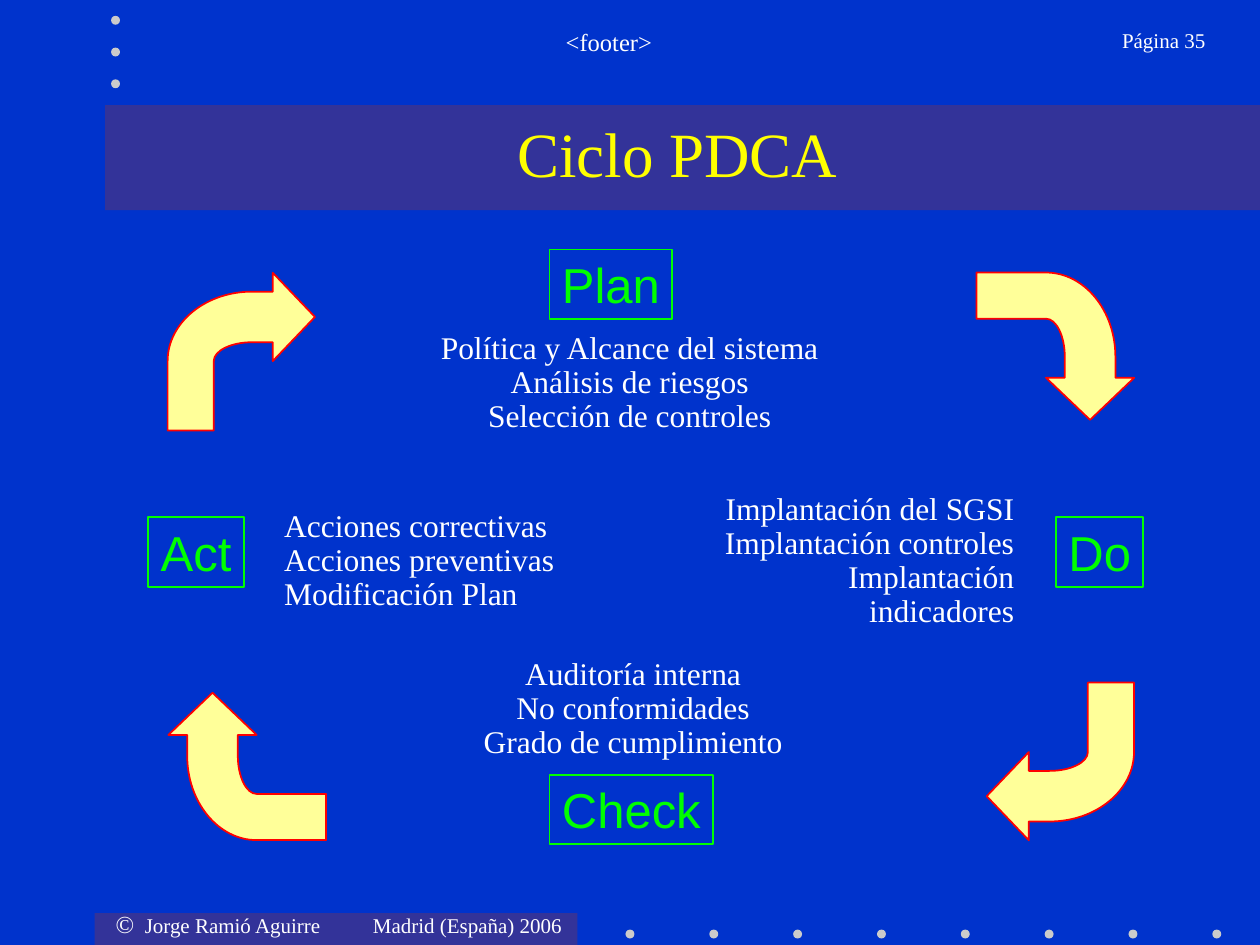
from lxml.etree import SubElement
from pptx import Presentation
from pptx.dml.color import RGBColor
from pptx.enum.shapes import MSO_SHAPE as Shape
from pptx.enum.text import MSO_ANCHOR as Anchor, MSO_AUTO_SIZE as AutoSize, PP_ALIGN as Align
from pptx.oxml.ns import qn
from pptx.util import Cm, Pt

BLUE = RGBColor(0x00, 0x33, 0xCC)
INDIGO = RGBColor(0x33, 0x33, 0x99)
GREY = RGBColor(0xCB, 0xCB, 0xCB)
WHITE = RGBColor(0xFF, 0xFF, 0xFF)
YELLOW = RGBColor(0xFF, 0xFF, 0x00)
CREAM = RGBColor(0xFF, 0xFF, 0x99)
RED = RGBColor(0xFF, 0x00, 0x00)
GREEN = RGBColor(0x00, 0xFF, 0x00)
SERIF, SANS = "Times New Roman", "Arial"


def add_filled(page, kind, left, top, width, height, color):
    shape = page.shapes.add_shape(kind, Cm(left), Cm(top), Cm(width), Cm(height))
    shape.shadow.inherit = False
    shape.fill.solid()
    shape.fill.fore_color.rgb = color
    shape.line.fill.background()


def add_span(para, text, size, color=WHITE, font=SERIF):
    span = para.add_run()
    span.text = text
    span.font.size = Pt(size)
    span.font.name = font
    span.font.color.rgb = color


def add_text_box(page, left, top, width, height):
    box = page.shapes.add_textbox(Cm(left), Cm(top), Cm(width), Cm(height))
    box.text_frame.word_wrap = True
    return box.text_frame


def add_dots(page, left, top, count, step_x, step_y):
    for i in range(count):
        add_filled(page, Shape.OVAL, left + i * step_x, top + i * step_y, 0.18, 0.18, GREY)


def add_header(page, left, top, width):
    """Dots, running texts and title band."""
    add_dots(page, left + 0.12, top + 0.32, 3, 0, 0.64)
    for text, offset, box_width, size, align in (
        ("<footer>", 1.9, 16.51, 14, Align.CENTER),
        ("Página 35", 18.95, 3.48, 12, Align.RIGHT),
    ):
        para = add_text_box(page, left + offset, top + 0.43, box_width, 1.27).paragraphs[0]
        para.alignment = align
        add_span(para, text, size)

    # Title band, with the title brought in front of it
    add_filled(page, Shape.RECTANGLE, left, top + 2.12, width, 2.12, INDIGO)
    title = page.shapes.title
    title.left, title.top = Cm(left + 0.21), Cm(top + 2.12)
    title.width, title.height = Cm(22.66), Cm(1.9)
    title.text_frame.auto_size = AutoSize.NONE
    title.text_frame.vertical_anchor = Anchor.MIDDLE
    para = title.text_frame.paragraphs[0]
    para.alignment = Align.CENTER
    add_span(para, "Ciclo PDCA", 36, YELLOW)
    title._element.getparent().append(title._element)


def add_footer(page, left, top):
    """Credit band with tabbed text, and the row of dots."""
    add_filled(page, Shape.RECTANGLE, left, top, 9.73, 0.64, INDIGO)
    add_dots(page, left + 10.7, top + 0.33, 8, 1.69, 0)
    frame = add_text_box(page, left - 0.08, top - 0.2, 9.78, 0.86)
    frame.margin_left, frame.margin_right = Cm(0.5), 0
    para = frame.paragraphs[0]
    tabs = SubElement(para._p.get_or_add_pPr(), qn("a:tabLst"))
    for position in (0.59, 5.19):
        SubElement(tabs, qn("a:tab"), pos=str(Cm(position)), algn="l")
    add_span(para, "©", 14)
    add_span(para, "\tJorge Ramió Aguirre\tMadrid (España) 2006", 12)


def add_phase_label(page, text, left, top, width):
    label = page.shapes.add_shape(Shape.RECTANGLE, Cm(left), Cm(top), Cm(width), Cm(1.4))
    label.shadow.inherit = False
    label.fill.background()
    label.line.color.rgb = GREEN
    label.line.width = Pt(1)
    frame = label.text_frame
    frame.word_wrap = False
    frame.vertical_anchor = Anchor.TOP
    frame.margin_top = frame.margin_bottom = Cm(0.1)
    para = frame.paragraphs[0]
    para.alignment = Align.LEFT
    add_span(para, text, 28, GREEN, SANS)


def add_phase_tasks(page, tasks, left, top, width, align):
    frame = add_text_box(page, left, top, width, 2.31)
    frame.word_wrap = False
    frame.auto_size = AutoSize.SHAPE_TO_FIT_TEXT
    for i, task in enumerate(tasks):
        para = frame.add_paragraph() if i else frame.paragraphs[0]
        para.alignment = align
        para.line_spacing = 0.9
        add_span(para, task, 18)


def add_bent_arrow(page, left, top, rotation):
    # Hundredths of a centimetre; each bend is two control points and an end
    outer_bend = [(0, 101), (76, 38), (170, 38)]
    head = [(212, 38), (212, 0), (297, 89), (212, 178), (212, 140), (170, 140)]
    inner_bend = [(128, 140), (93, 157), (93, 178)]
    builder = page.shapes.build_freeform(0, 318, scale=Cm(0.01))
    builder.add_line_segments([(0, 178)] + outer_bend + head + inner_bend + [(93, 318)])
    arrow = builder.convert_to_shape(Cm(left), Cm(top))

    # Turn the three segments of each bend into one curve
    outline = next(arrow._element.iter(qn("a:path")))
    segments = outline.findall(qn("a:lnTo"))
    for first in (1, 10):
        curve = segments[first]
        curve.tag = qn("a:cubicBezTo")
        for segment in segments[first + 1:first + 3]:
            curve.append(segment[0])
            outline.remove(segment)

    arrow.shadow.inherit = False
    arrow.fill.solid()
    arrow.fill.fore_color.rgb = CREAM
    arrow.line.color.rgb = RED
    arrow.line.width = Pt(1)
    arrow.rotation = rotation


def add_cycle(page, left, top):
    """Four phases with their tasks, joined by turning arrows."""
    phases = (
        # name, label box (left, top, width), tasks, tasks box, alignment
        ("Plan", (8.08, 0.03, 2.47),
         ("Política y Alcance del sistema", "Análisis de riesgos", "Selección de controles"),
         (5.62, 1.57, 8.15), Align.CENTER),
        ("Do", (18.29, 5.43, 1.75),
         ("Implantación del SGSI", "Implantación controles", "Implantación indicadores"),
         (10.77, 4.82, 6.93), Align.RIGHT),
        ("Check", (8.08, 10.62, 3.3),
         ("Auditoría interna", "No conformidades", "Grado de cumplimiento"),
         (6.5, 8.14, 6.53), Align.CENTER),
        ("Act", (-0.01, 5.43, 1.93),
         ("Acciones correctivas", "Acciones preventivas", "Modificación Plan"),
         (2.48, 5.17, 5.95), Align.LEFT),
    )
    for name, (x, y, width), tasks, (tasks_x, tasks_y, tasks_width), align in phases:
        add_phase_tasks(page, tasks, left + tasks_x, top + tasks_y, tasks_width, align)
        add_phase_label(page, name, left + x, top + y, width)

    corners = ((0.38, 0.5), (16.79, 0.39), (16.89, 8.76), (0.5, 8.86))
    for i, (x, y) in enumerate(corners):
        add_bent_arrow(page, left + x, top + y, 90 * i)


def main():
    deck = Presentation()
    deck.slide_width, deck.slide_height = Cm(25.4), Cm(19.05)
    page = deck.slides.add_slide(deck.slide_layouts[5])
    page.background.fill.solid()
    page.background.fill.fore_color.rgb = BLUE
    add_header(page, 2.12, 0, 23.28)
    add_footer(page, 1.91, 18.41)
    add_cycle(page, 3, 5)
    deck.save("out.pptx")


if __name__ == "__main__":
    main()
